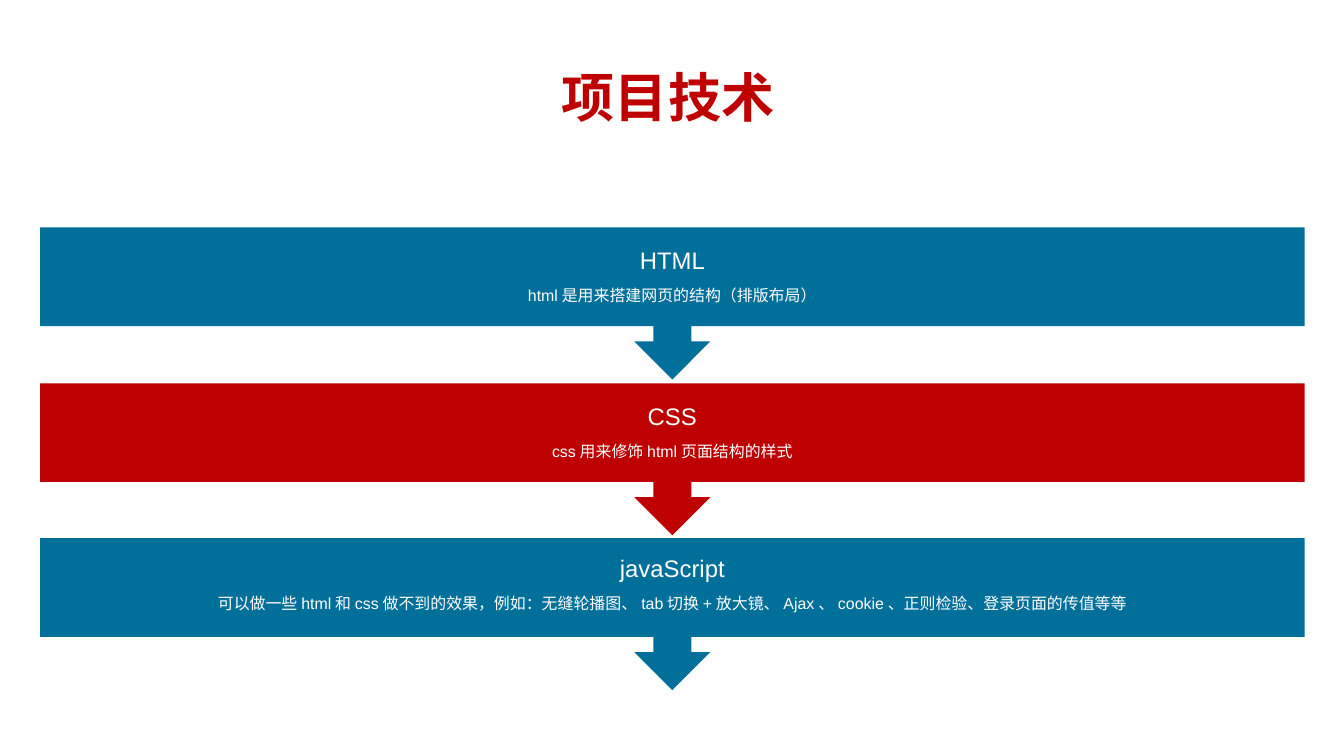
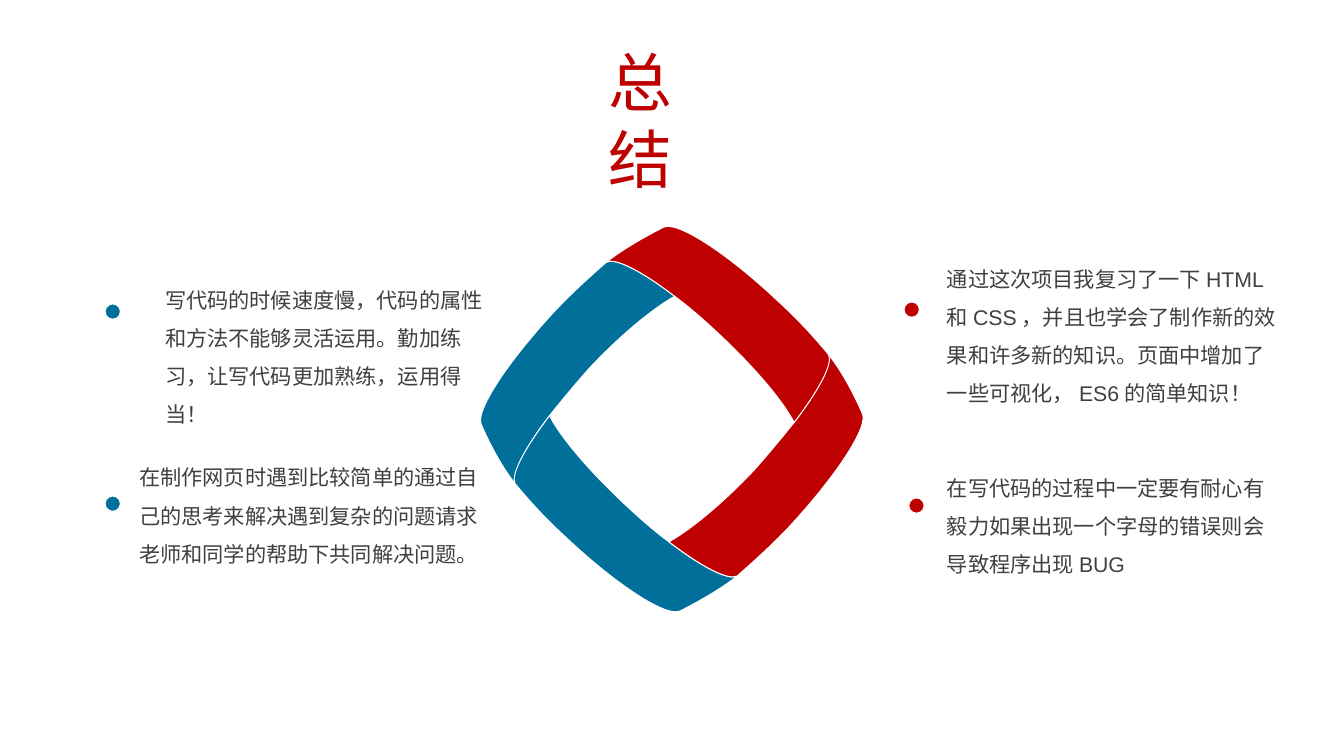
from lxml import etree
from pptx import Presentation
from pptx.dml.color import RGBColor
from pptx.enum.shapes import MSO_SHAPE
from pptx.enum.text import MSO_ANCHOR, MSO_AUTO_SIZE, PP_ALIGN
from pptx.oxml.ns import qn
from pptx.util import Pt

CALLOUT, DOT = MSO_SHAPE.DOWN_ARROW_CALLOUT, MSO_SHAPE.OVAL
LEFT, CENTER = PP_ALIGN.LEFT, PP_ALIGN.CENTER
TOP, GROW = MSO_ANCHOR.TOP, MSO_AUTO_SIZE.SHAPE_TO_FIT_TEXT

# Shared measures, colours and text formats
PX = 9144  # EMU in one px, 100 px to the inch
SLIDE_W, SLIDE_H = 1406.25, 791
TITLE_ONLY = 5
COLORS = {"blue": "006F9A", "red": "BF0000", "white": "FFFFFF",
          "text": "404040", "pink": "ED5463", "green": "A1D469"}
FORMATS = {
    "title": {"color": "red", "inset": 11,
              "font": {"size": Pt(40), "bold": True},
              "paragraph": {"alignment": LEFT}},
    "closing": {"color": "red", "inset": 11,
                "font": {"size": Pt(48), "bold": False},
                "paragraph": {"alignment": LEFT}},
    "heading": {"color": "white", "inset": 10,
                "font": {"size": Pt(18)},
                "paragraph": {"alignment": CENTER, "line_spacing": 1.2}},
    "detail": {"color": "white", "inset": 10,
               "font": {"size": Pt(12)},
               "paragraph": {"alignment": CENTER, "line_spacing": 1.2}},
    "body": {"color": "text", "inset": 10,
             "font": {"size": Pt(16)},
             "paragraph": {"alignment": LEFT, "line_spacing": 1.5}},
}

# Technologies: colour, callout top, heading offset, heading, detail
TECHNOLOGIES = [
    ("blue", 238, 8, "HTML", "html是用来搭建网页的结构（排版布局）"),
    ("red", 401, 8, "CSS", "css用来修饰html页面结构的样式"),
    ("blue", 563, 5, "javaScript",
     "可以做一些html和css做不到的效果，例如：无缝轮播图、tab切换+放大镜、"
     "Ajax、cookie、正则检验、登录页面的传值等等"),
]

# Summary points: colour, dot position, text box, text
POINTS = [
    ("blue", (110, 318), (163, 282, 354, 131),
     "写代码的时候速度慢，代码的属性和方法不能够灵活运用。勤加练习，让写代码更加熟练，运用得当！"),
    ("blue", (110, 519), (136, 468, 382, 131),
     "在制作网页时遇到比较简单的通过自己的思考来解决遇到复杂的问题请求老师和同学的帮助下共同解决问题。"),
    ("red", (946, 316), (981, 260, 367, 172),
     "通过这次项目我复习了一下HTML和CSS，并且也学会了制作新的效果和许多新的知识。"
     "页面中增加了一些可视化，ES6的简单知识！"),
    ("red", (951, 521), (981, 479, 367, 131),
     "在写代码的过程中一定要有耐心有毅力如果出现一个字母的错误则会导致程序出现BUG"),
]

# Half of the ring: each outline is a start point, then three points per curve
RING_CENTER = (703, 438.5)
BANDS = [
    [(706, 310), (683, 323), (650, 350), (617, 385),
     (601, 403), (587, 420), (575, 435),
     (549, 469), (535, 496), (541, 505),
     (539, 506), (539, 506), (539, 506),
     (519, 481), (504, 445), (504, 445),
     (496, 432), (530, 380), (581, 325),
     (600, 305), (619, 288), (635, 274),
     (645, 270), (672, 284), (706, 310)],
    [(771, 603), (747, 622), (712, 639), (712, 639),
     (699, 647), (646, 613), (592, 562),
     (571, 543), (553, 523), (539, 506),
     (534, 497), (549, 469), (575, 435),
     (587, 458), (616, 492), (652, 526),
     (669, 542), (685, 556), (700, 567),
     (734, 593), (761, 607), (771, 603)],
]
JOINT = [(771, 603), (770, 603), (770, 603), (770, 603),
         (771, 604), (771, 604), (771, 603)]


def emu(*lengths):
    return [round(length * PX) for length in lengths]


def rgb(color):
    return RGBColor.from_string(COLORS[color])


def apply(target, values):
    for name, value in values.items():
        setattr(target, name, value)


def write(holder, text, style):
    look = FORMATS[style]
    side, edge = emu(look["inset"], 5)
    frame = holder.text_frame
    apply(frame, {"word_wrap": True, "auto_size": GROW, "vertical_anchor": TOP,
                  "margin_left": side, "margin_right": side,
                  "margin_top": edge, "margin_bottom": edge})
    paragraph = frame.paragraphs[0]
    apply(paragraph, look["paragraph"])
    # Punctuation stays inside the box
    paragraph._p.get_or_add_pPr().set("hangingPunct", "0")
    run = paragraph.add_run()
    run.text = text
    apply(run.font, {"name": "Arial", **look["font"]})
    run.font.color.rgb = rgb(look["color"])


def add_text(slide, box, text, style):
    write(slide.shapes.add_textbox(*emu(*box)), text, style)


def add_titled_slide(deck, box, text, style):
    slide = deck.slides.add_slide(deck.slide_layouts[TITLE_ONLY])
    title = slide.shapes.title
    apply(title, dict(zip(("left", "top", "width", "height"), emu(*box))))
    write(title, text, style)
    return slide


def paint(shape, color, outlined):
    shape.shadow.inherit = False
    shape.fill.solid()
    shape.fill.fore_color.rgb = rgb(color)
    if outlined:
        shape.line.color.rgb = rgb("white")
        shape.line.width = Pt(0.75)
    else:
        shape.line.fill.background()


def add_preset(slide, kind, box, color, outlined=False):
    paint(slide.shapes.add_shape(kind, *emu(*box)), color, outlined)


def bend(shape):
    """Join every three line segments of a freeform into one cubic curve."""
    segments = list(shape._element.iter(qn("a:lnTo")))
    for first in range(0, len(segments), 3):
        curve = etree.Element(qn("a:cubicBezTo"))
        segments[first].addprevious(curve)
        for segment in segments[first:first + 3]:
            curve.append(segment[0])
            segment.getparent().remove(segment)


def add_curved(slide, points, color):
    start, *rest = [emu(*point) for point in points]
    builder = slide.shapes.build_freeform(*start, scale=1.0)
    builder.add_line_segments(rest, close=True)
    outline = builder.convert_to_shape()
    bend(outline)
    paint(outline, color, outlined=True)


def half_turn(points):
    center_x, center_y = RING_CENTER
    return [(2 * center_x - x, 2 * center_y - y) for x, y in points]


def add_ring(slide):
    for turn, band_color, joint_color in ((list, "blue", "pink"),
                                          (half_turn, "red", "green")):
        for band in BANDS:
            add_curved(slide, turn(band), band_color)
        add_curved(slide, turn(JOINT), joint_color)


def build_technologies(deck):
    slide = add_titled_slide(deck, (577, 62, 308, 78), "项目技术", "title")
    left, width = 42, 1323
    for color, top, offset, heading, detail in TECHNOLOGIES:
        add_preset(slide, CALLOUT, (left, top, width, 159), color)
        add_text(slide, (left, top + offset, width, 46), heading, "heading")
        add_text(slide, (left, top + offset + 44, width, 34), detail, "detail")


def build_summary(deck):
    slide = add_titled_slide(deck, (626, 40, 154, 91), "总结", "closing")
    add_ring(slide)
    for color, dot, box, text in POINTS:
        add_preset(slide, DOT, (*dot, 16, 16), color, outlined=True)
        add_text(slide, box, text, "body")


def main():
    deck = Presentation()
    deck.slide_width, deck.slide_height = emu(SLIDE_W, SLIDE_H)
    build_technologies(deck)
    build_summary(deck)
    deck.save("out.pptx")


if __name__ == "__main__":
    main()
